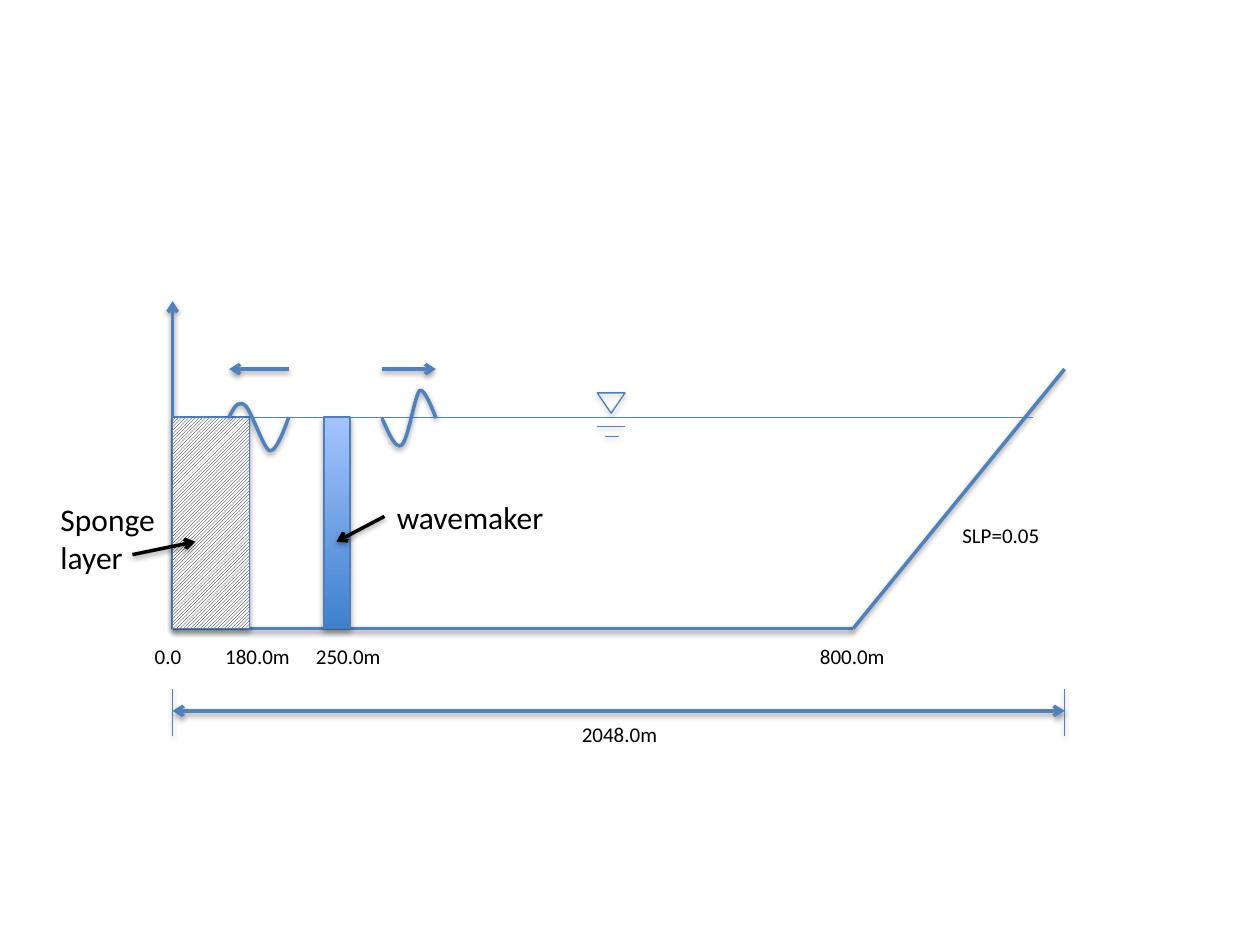
from lxml.etree import SubElement
from pptx import Presentation
from pptx.dml.color import RGBColor
from pptx.enum.dml import MSO_PATTERN
from pptx.enum.shapes import MSO_CONNECTOR, MSO_SHAPE, MSO_SHAPE_TYPE
from pptx.enum.text import MSO_AUTO_SIZE
from pptx.oxml import parse_xml
from pptx.oxml.ns import nsdecls, qn
from pptx.util import Cm, Pt

BLUE, EDGE, BLACK, WHITE = "4F81BD", "4B7EBC", "000000", "FFFFFF"
color = RGBColor.from_string

presentation = Presentation()
presentation.slide_width, presentation.slide_height = Cm(25.4), Cm(19.05)
slide = presentation.slides.add_slide(presentation.slide_layouts[6])


def write(text, left, top, width, height=0.76, size=12, wrap=False):
    label = slide.shapes.add_textbox(Cm(left), Cm(top), Cm(width), Cm(height))
    frame = label.text_frame
    frame.word_wrap = wrap
    frame.auto_size = MSO_AUTO_SIZE.SHAPE_TO_FIT_TEXT
    run = frame.paragraphs[0].add_run()
    run.text = text
    run.font.name = "Calibri"
    run.font.size = Pt(size)
    run.font.color.rgb = color(BLACK)


def draw_line(x1, y1, x2, y2, width=2, ink=BLUE, ends=()):
    stroke = slide.shapes.add_connector(
        MSO_CONNECTOR.STRAIGHT, Cm(x1), Cm(y1), Cm(x2), Cm(y2))
    stroke.line.color.rgb = color(ink)
    stroke.line.width = Pt(width)
    for end in ends:
        SubElement(stroke.line._get_or_add_ln(), qn(f"a:{end}"), type="arrow")


origin, toe, shore = 3.48, 17.2, 21.46
bed, surface, crest = 12.67, 8.41, 7.44

draw_line(origin, bed, toe, bed)
draw_line(toe, bed, shore, crest)
draw_line(origin, surface, 20.83, surface, width=0.5)
draw_line(origin, bed, origin, 6.07, ends=["tailEnd"])

level_mark, sponge, wavemaker = [
    slide.shapes.add_shape(kind, Cm(left), Cm(top), Cm(width), Cm(height))
    for kind, left, top, width, height in [
        (MSO_SHAPE.ISOSCELES_TRIANGLE, 12.04, 7.92, 0.56, 0.41),
        (MSO_SHAPE.RECTANGLE, origin, surface, 1.55, bed - surface),
        (MSO_SHAPE.RECTANGLE, 6.53, surface, 0.53, bed - surface),
    ]
]
for part in (level_mark, sponge, wavemaker):
    part.line.color.rgb = color(EDGE)
    part.line.width = Pt(0.75)

level_mark.rotation = 180
level_mark.fill.background()

sponge.fill.patterned()
sponge.fill.pattern = MSO_PATTERN.LIGHT_UPWARD_DIAGONAL
sponge.fill.fore_color.rgb = color(BLACK)
sponge.fill.back_color.rgb = color(WHITE)

wavemaker.fill.gradient()
wavemaker.fill.gradient_angle = 90
for stop, shade in zip(wavemaker.fill.gradient_stops, ["3F80CE", "A4C4FF"]):
    stop.color.rgb = color(shade)

waves = [
    ((7.7, 8.43), [
        [(7.85, 8.76), (7.98, 9.07), (8.1, 8.97)],
        [(8.23, 8.86), (8.36, 7.98), (8.46, 7.87)],
        [(8.56, 7.8), (8.79, 8.43), (8.79, 8.43)],
    ]),
    ((4.62, 8.41), [
        [(4.75, 8.13), (4.83, 8.08), (4.95, 8.18)],
        [(5.08, 8.31), (5.31, 9.04), (5.44, 9.09)],
        [(5.59, 9.12), (5.82, 8.41), (5.82, 8.41)],
    ]),
]
for (start_x, start_y), curves in waves:
    builder = slide.shapes.build_freeform(Cm(start_x), Cm(start_y))
    builder.add_line_segments([(Cm(x), Cm(y)) for *_, (x, y) in curves], close=False)
    wave = builder.convert_to_shape()
    wave.fill.background()
    wave.line.color.rgb = color(BLUE)
    wave.line.width = Pt(2)
    for segment, curve in zip(wave._element.xpath(".//a:lnTo"), curves):
        segment.tag = qn("a:cubicBezTo")
        segment.remove(segment[0])
        for x, y in curve:
            SubElement(segment, qn("a:pt"),
                       x=str(Cm(x) - wave.left), y=str(Cm(y) - wave.top))

draw_line(7.7, crest, 8.79, crest, ends=["tailEnd"])
draw_line(5.82, crest, 4.62, crest, ends=["tailEnd"])
draw_line(7.75, 10.41, 6.78, 10.92, ink=BLACK, ends=["tailEnd"])
draw_line(2.67, 11.18, 3.94, 10.92, ink=BLACK, ends=["tailEnd"])
draw_line(origin, 14.33, shore, 14.33, ends=["headEnd", "tailEnd"])
for x in (origin, shore):
    draw_line(x, 13.89, x, 14.83, width=0.5)
draw_line(12.04, 8.59, 12.6, 8.59, width=0.5)
draw_line(12.19, 8.79, 12.47, 8.79, width=0.5)

for part in slide.shapes:
    is_line = part.shape_type == MSO_SHAPE_TYPE.LINE
    is_wave = part.shape_type == MSO_SHAPE_TYPE.FREEFORM
    distance, alpha = (20000, 38000) if is_line or is_wave else (23000, 35000)
    part._element.spPr.append(parse_xml(
        f'<a:effectLst {nsdecls("a")}><a:outerShdw blurRad="40000" dist="{distance}" '
        f'dir="5400000" rotWithShape="0"><a:srgbClr val="{BLACK}">'
        f'<a:alpha val="{alpha}"/></a:srgbClr></a:outerShdw></a:effectLst>'))

write("wavemaker", 7.75, 9.91, 3.53, height=1.02, size=18)
write("Sponge layer", 0.97, 9.96, 2.59, height=1.8, size=18, wrap=True)
for distance, left, width in [
    ("0.0", 2.87, 1.07), ("180.0m", 4.29, 1.83),
    ("250.0m", 6.12, 1.83), ("800.0m", 16.28, 1.83),
]:
    write(distance, left, 12.85, width)
write("SLP=0.05", 19.15, 10.41, 2.08)
write("2048.0m", 11.48, 14.43, 2.06)

presentation.save("out.pptx")
